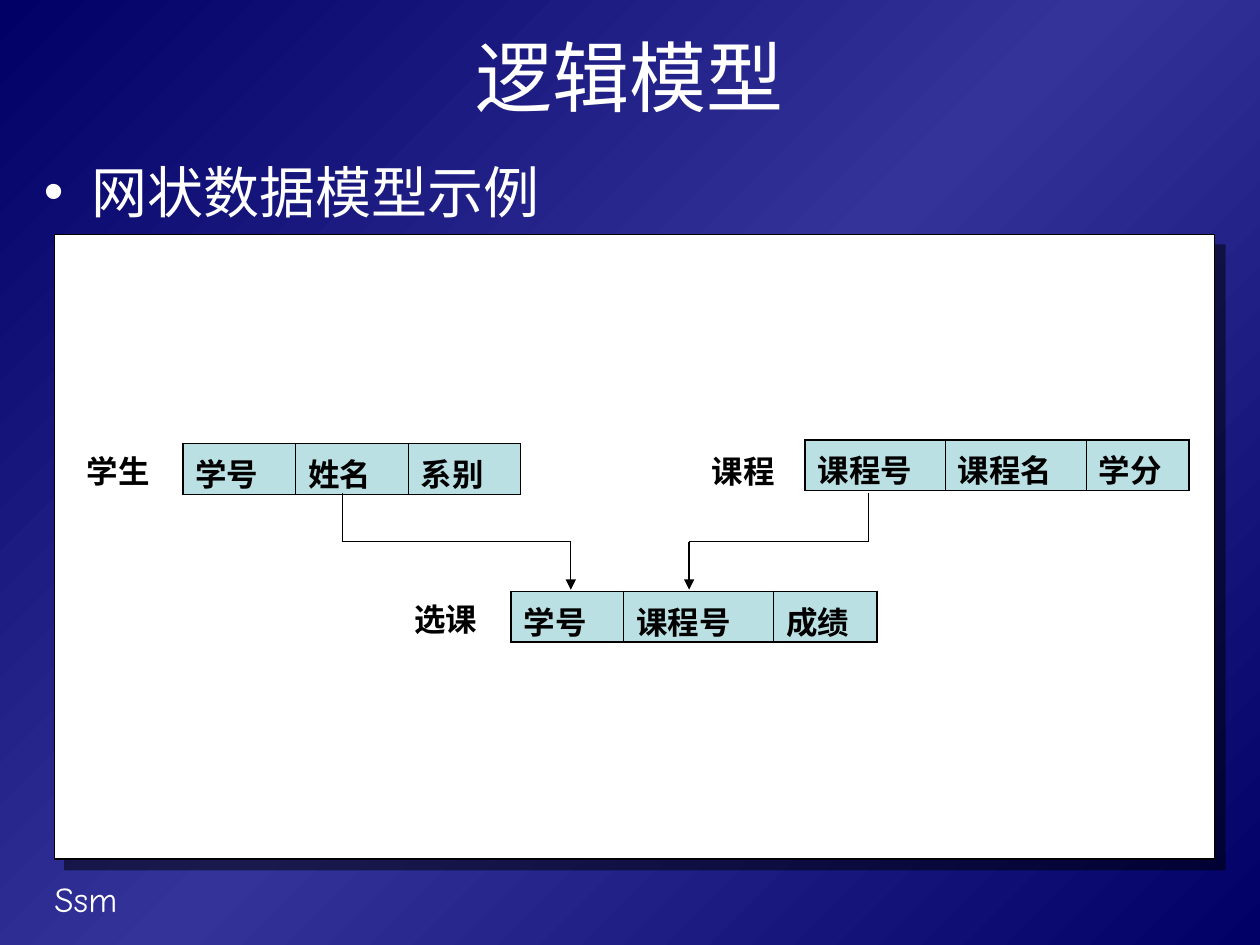
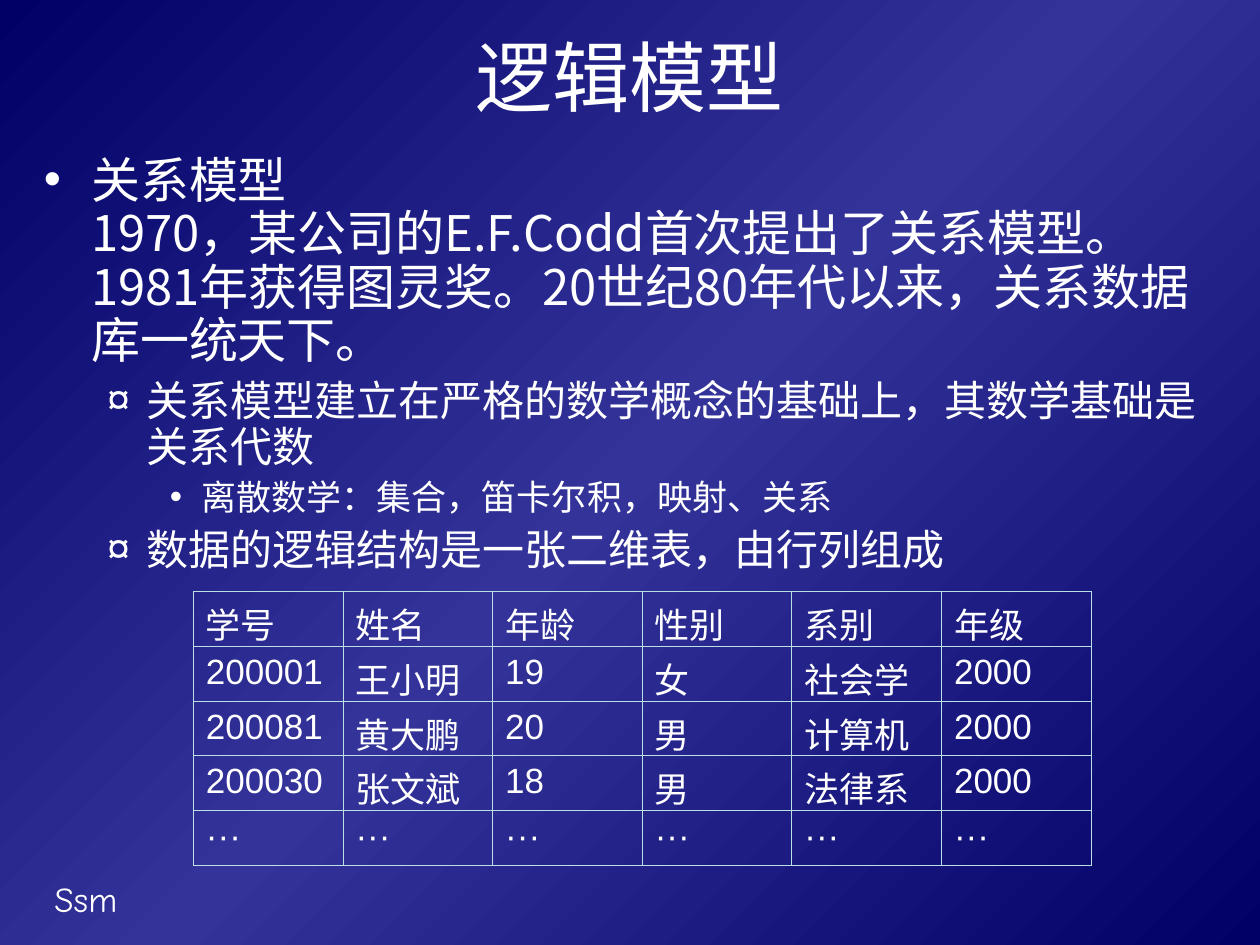
from lxml.etree import SubElement
from pptx import Presentation
from pptx.dml.color import RGBColor
from pptx.enum.shapes import MSO_CONNECTOR as Connector, MSO_SHAPE as Shape
from pptx.enum.text import MSO_ANCHOR as Anchor, PP_ALIGN as Align
from pptx.oxml.ns import qn
from pptx.util import Pt

NAVY = RGBColor(0x00, 0x00, 0x66)
INDIGO = RGBColor(0x33, 0x33, 0x99)
WHITE = RGBColor(0xFF, 0xFF, 0xFF)
BLACK = RGBColor(0x00, 0x00, 0x00)
PALE_TEAL = RGBColor(0xBB, 0xE0, 0xE3)

CJK_FONT = "Noto Sans CJK SC"
TABLE_FONT = "Arial"
FOOTER_FONT = "Comic Neue"

OUTER_BORDER = 1.08
INNER_BORDER = 0.45

BULLET_LEVELS = [("•", 27, 27), ("¤", 58.5, 22.5), ("•", 90, 18)]


def add_element(parent, tag, **attributes):
    return SubElement(parent, qn(tag), {key: str(value) for key, value in attributes.items()})


def add_color(parent, color):
    return add_element(parent, "a:srgbClr", val=color)


class Deck:
    def __init__(self):
        self.presentation = Presentation()
        self.presentation.slide_width = Pt(720)
        self.presentation.slide_height = Pt(540)
        self.slide = None
        self.set_background()

    def set_background(self):
        master = self.presentation.slide_master
        fill = master.background.fill
        fill.gradient()
        fill.gradient_angle = 315
        stops = master.element.find(".//" + qn("a:gsLst"))
        for stop in list(stops):
            stops.remove(stop)
        for position, color in ((0, NAVY), (50000, INDIGO), (100000, NAVY)):
            add_color(add_element(stops, "a:gs", pos=position), color)

    def new_slide(self, title):
        self.slide = self.presentation.slides.add_slide(self.presentation.slide_layouts[6])
        self.text("Ssm", 24, 498, 150, 32, 20, font=FOOTER_FONT)
        frame = self.text(title, 36, 12, 648, 63, 44)
        frame.vertical_anchor = Anchor.MIDDLE
        frame.paragraphs[0].alignment = Align.CENTER

    def style(self, paragraph, size, color, font=CJK_FONT, bold=False):
        paragraph.font.size = Pt(size)
        paragraph.font.bold = bold
        paragraph.font.color.rgb = color
        paragraph.font.name = font
        properties = paragraph._p.pPr.find(qn("a:defRPr"))
        add_element(properties, "a:ea", typeface=CJK_FONT)

    def frame(self, left, top, width, height):
        box = self.slide.shapes.add_textbox(Pt(left), Pt(top), Pt(width), Pt(height))
        box.text_frame.word_wrap = True
        return box.text_frame

    def text(self, text, left, top, width, height, size, color=WHITE, font=CJK_FONT, bold=False):
        frame = self.frame(left, top, width, height)
        frame.text = text
        self.style(frame.paragraphs[0], size, color, font, bold)
        return frame

    def label(self, text, left, top):
        frame = self.text(text, left, top, 59, 29, 18, BLACK, bold=True)
        frame.paragraphs[0].line_spacing = Pt(21.6)

    def bullets(self, items, left, top, width, height, spacing):
        frame = self.frame(left, top, width, height)
        for index, (level, size, text) in enumerate(items):
            paragraph = frame.paragraphs[0] if index == 0 else frame.add_paragraph()
            paragraph.text = text
            paragraph.level = level
            mark, margin, hanging = BULLET_LEVELS[level]
            properties = paragraph._p.get_or_add_pPr()
            properties.set("marL", str(Pt(margin)))
            properties.set("indent", str(-Pt(hanging)))
            add_color(add_element(properties, "a:buClr"), WHITE)
            add_element(properties, "a:buFont", typeface=TABLE_FONT)
            add_element(properties, "a:buChar", char=mark)
            paragraph.line_spacing = Pt(round(size * spacing, 1))
            if index:
                paragraph.space_before = Pt(size / 4)
            self.style(paragraph, size, WHITE)

    def panel(self, left, top, width, height):
        shape = self.slide.shapes.add_shape(
            Shape.RECTANGLE, Pt(left), Pt(top), Pt(width), Pt(height))
        shape.shadow.inherit = False
        shape.fill.solid()
        shape.fill.fore_color.rgb = WHITE
        shape.line.color.rgb = BLACK
        shape.line.width = Pt(0.75)
        effects = shape._element.spPr.find(qn("a:effectLst"))
        shadow = add_element(effects, "a:outerShdw", blurRad=0, dist=Pt(8.5),
                             dir=2700000, algn="ctr", rotWithShape=0)
        add_element(add_color(shadow, BLACK), "a:alpha", val=50000)

    def border(self, cell, side, color, width):
        line = add_element(cell._tc.get_or_add_tcPr(), "a:ln" + side, w=Pt(width))
        add_color(add_element(line, "a:solidFill"), color)

    def table(self, rows, left, top, widths, row_height, size, color, line_color,
              outer=INNER_BORDER, fill=None, bold=False):
        frame = self.slide.shapes.add_table(
            len(rows), len(widths), Pt(left), Pt(top), Pt(sum(widths)), Pt(row_height * len(rows)))
        table = frame.table
        table.first_row = table.horz_banding = False
        for column, width in zip(table.columns, widths):
            column.width = Pt(width)
        last_row, last_column = len(rows) - 1, len(widths) - 1
        for row, values in enumerate(rows):
            table.rows[row].height = Pt(row_height)
            for column, value in enumerate(values):
                cell = table.cell(row, column)
                cell.text = value
                self.style(cell.text_frame.paragraphs[0], size, color, TABLE_FONT, bold)
                edges = {"L": column == 0, "R": column == last_column,
                         "T": row == 0, "B": row == last_row}
                for side, is_outer in edges.items():
                    self.border(cell, side, line_color, outer if is_outer else INNER_BORDER)
                if fill is None:
                    cell.fill.background()
                else:
                    cell.fill.solid()
                    cell.fill.fore_color.rgb = fill

    def record(self, name, fields, left, top, widths, label_left, label_top):
        self.table([fields], left, top, widths, 29, 18, BLACK, BLACK,
                   outer=OUTER_BORDER, fill=PALE_TEAL, bold=True)
        self.label(name, label_left, label_top)

    def arrow_route(self, points):
        for start, end in zip(points, points[1:]):
            connector = self.slide.shapes.add_connector(
                Connector.STRAIGHT, *(Pt(value) for value in start + end))
            connector.line.color.rgb = BLACK
            connector.line.width = Pt(0.75)
            add_element(connector._element.spPr, "a:effectLst")
        add_element(connector.line._get_or_add_ln(), "a:tailEnd", type="triangle")


def network_model(deck):
    deck.new_slide("逻辑模型")
    deck.panel(31, 134, 663, 357)
    deck.bullets([(0, 32, "网状数据模型示例")], 18, 86.5, 690, 46, 1.2)
    deck.record("学生", ["学号", "姓名", "系别"], 104.5, 253.5, [64.3] * 3, 42.5, 254.5)
    deck.record("课程", ["课程号", "课程名", "学分"], 460, 251.3, [80.2, 80.4, 59], 399.5, 254.5)
    deck.record("选课", ["学号", "课程号", "成绩"], 292, 338, [64.3, 85.7, 59], 229.5, 339.5)
    start, bend, end = 281.5, 309.6, 337
    for source, target in ((195.8, 326.2), (496.1, 393.8)):
        deck.arrow_route([(source, start), (source, bend), (target, bend), (target, end)])


def relational_model(deck):
    deck.new_slide("逻辑模型")
    deck.bullets([
        (0, 28, "关系模型\v1970，某公司的E.F.Codd首次提出了关系模型。"
                "1981年获得图灵奖。20世纪80年代以来，关系数据库一统天下。"),
        (1, 24, "关系模型建立在严格的数学概念的基础上，其数学基础是关系代数"),
        (2, 20, "离散数学：集合，笛卡尔积，映射、关系"),
        (1, 24, "数据的逻辑结构是一张二维表，由行列组成"),
    ], 18, 85, 677, 248, 1.09)
    students = [
        ["学号", "姓名", "年龄", "性别", "系别", "年级"],
        ["200001", "王小明", "19", "女", "社会学", "2000"],
        ["200081", "黄大鹏", "20", "男", "计算机", "2000"],
        ["200030", "张文斌", "18", "男", "法律系", "2000"],
        ["···"] * 6,
    ]
    deck.table(students, 110.5, 338, [85.5] * 6, 31.3, 20, WHITE, PALE_TEAL)


def main():
    deck = Deck()
    network_model(deck)
    relational_model(deck)
    deck.presentation.save("out.pptx")


if __name__ == "__main__":
    main()
